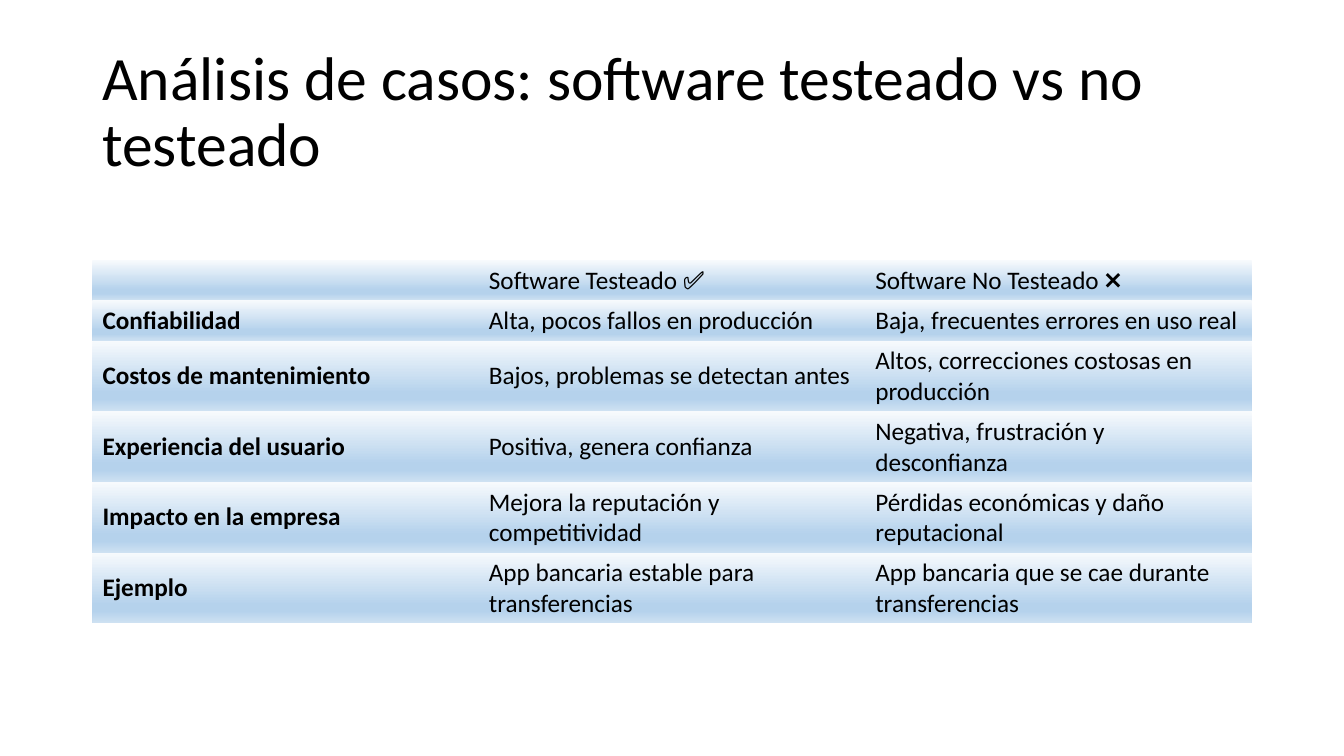
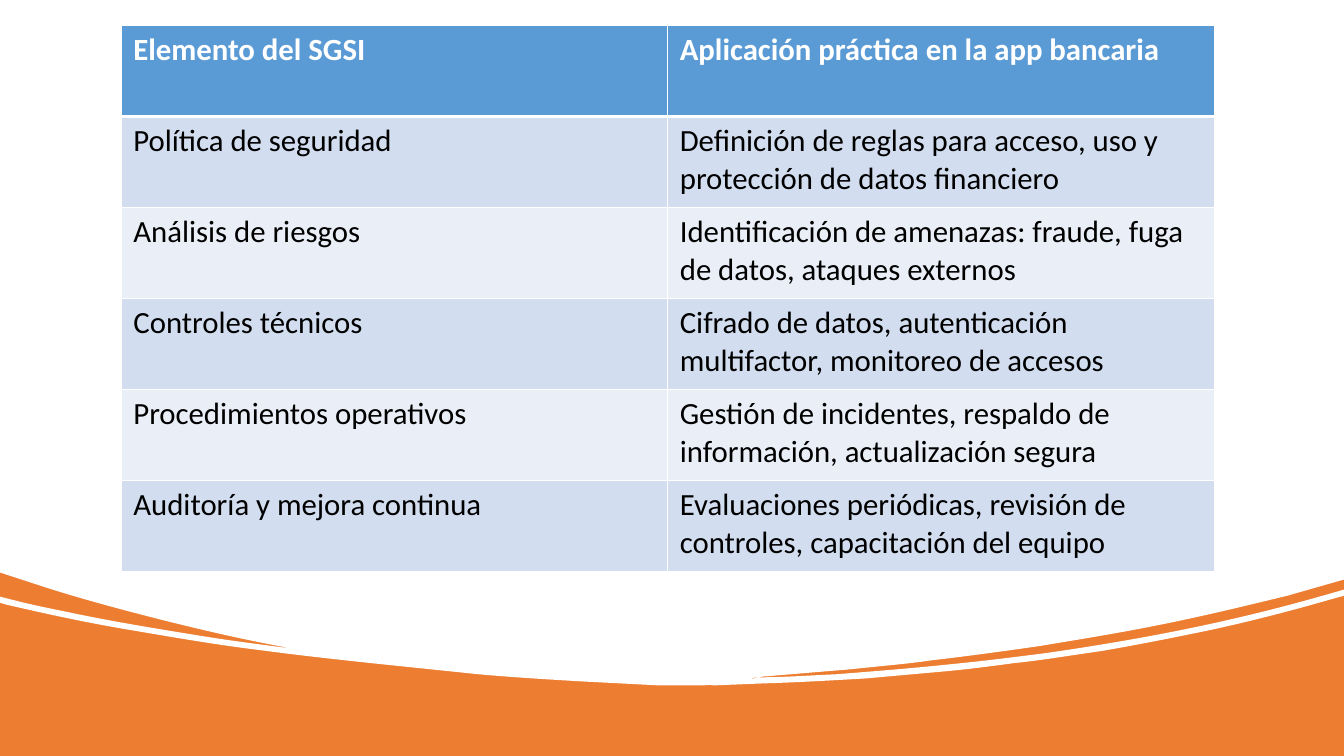
from dataclasses import dataclass
from typing import Optional

from lxml import etree
from pptx import Presentation
from pptx.dml.color import RGBColor
from pptx.enum.shapes import MSO_SHAPE
from pptx.enum.text import MSO_ANCHOR
from pptx.oxml.ns import qn
from pptx.util import Emu, Inches, Pt

RECT = MSO_SHAPE.RECTANGLE
TOP, MIDDLE = MSO_ANCHOR.TOP, MSO_ANCHOR.MIDDLE
NO_STYLE = "{2D5ABB26-0587-4C30-8999-92F81FD0307C}"
WIDTH, HEIGHT = Inches(13.33), Inches(7.5)


# Theme
@dataclass(frozen=True)
class Theme:
    font: str = "Calibri"
    text: str = "000000"
    white: str = "FFFFFF"
    orange: str = "ED7D31"
    header: str = "5B9BD5"
    bands: tuple = ("D2DEEF", "EAEFF7")
    gradient: tuple = ((0, "F7FAFD"), (74, "B5D2EC"), (83, "B5D2EC"), (100, "CEE1F2"))
    title_size: int = 44
    compare_size: int = 18
    element_size: int = 22


THEME = Theme()


# Boxes and row heights are percentages of the slide
@dataclass(frozen=True)
class Box:
    left: float
    top: float
    width: float
    height: float

    def emu(self) -> tuple:
        return (pct_x(self.left), pct_y(self.top), pct_x(self.width), pct_y(self.height))


@dataclass(frozen=True)
class CellStyle:
    size: int
    bold: bool = False
    color: str = THEME.text
    fill: Optional[str] = None  # None means the theme gradient
    anchor: MSO_ANCHOR = TOP
    inset: tuple = (0.1, 0.05)
    borders: tuple = ()  # (side, points)


def pct_x(share: float) -> Emu:
    return Emu(round(WIDTH * share / 100))


def pct_y(share: float) -> Emu:
    return Emu(round(HEIGHT * share / 100))


def rgb(color: str) -> RGBColor:
    return RGBColor.from_string(color)


# Text
def add_run(p, text: str, size: int, color: str, bold: bool = False) -> None:
    r = p.add_run()
    r.text = text
    r.font.name, r.font.size, r.font.bold = THEME.font, Pt(size), bold
    r.font.color.rgb = rgb(color)


def add_title(s, text: str, box: Box) -> None:
    tf = s.shapes.add_textbox(*box.emu()).text_frame
    tf.word_wrap = True
    tf.vertical_anchor = MIDDLE
    p = tf.paragraphs[0]
    p.line_spacing = 0.9
    add_run(p, text, THEME.title_size, THEME.text)


# Tables
def add_color(parent, color: str) -> None:
    etree.SubElement(parent, qn("a:srgbClr"), val=color)


def add_border(tc_pr, side: str, points: float) -> None:
    ln = etree.SubElement(tc_pr, qn(f"a:ln{side}"), w=str(Pt(points)))
    add_color(etree.SubElement(ln, qn("a:solidFill")), THEME.white)


def add_gradient(tc_pr) -> None:
    grad = etree.SubElement(tc_pr, qn("a:gradFill"), rotWithShape="1")
    stops = etree.SubElement(grad, qn("a:gsLst"))
    for position, color in THEME.gradient:
        add_color(etree.SubElement(stops, qn("a:gs"), pos=str(position * 1000)), color)
    etree.SubElement(grad, qn("a:lin"), ang="5400000", scaled="0")


def format_cell(cell, text: str, style: CellStyle) -> None:
    cell.margin_left = cell.margin_right = Inches(style.inset[0])
    cell.margin_top = cell.margin_bottom = Inches(style.inset[1])
    cell.vertical_anchor = style.anchor
    tc_pr = cell._tc.get_or_add_tcPr()
    for side, points in style.borders:
        add_border(tc_pr, side, points)
    if style.fill:
        cell.fill.solid()
        cell.fill.fore_color.rgb = rgb(style.fill)
    else:
        add_gradient(tc_pr)
    p = cell.text_frame.paragraphs[0]
    if text:
        add_run(p, text, style.size, style.color, style.bold)
    else:
        p.font.size = Pt(style.size)


def add_grid(s, rows: list, left: float, top: float, width: float, heights: list, style_of) -> None:
    box = Box(left, top, width, sum(heights))
    table = s.shapes.add_table(len(rows), len(rows[0]), *box.emu()).table
    table.first_row = table.horz_banding = False
    table._tbl.tblPr.find(qn("a:tableStyleId")).text = NO_STYLE
    for column in table.columns:
        column.width = pct_x(width / len(rows[0]))
    for i, (row, height) in enumerate(zip(rows, heights)):
        table.rows[i].height = pct_y(height)
        for j, text in enumerate(row):
            format_cell(table.cell(i, j), text, style_of(i, j))


# Wave outline in inches from the top left corner: pairs are lines, sextets are Bézier curves
WAVE = [
    (13.33, 0), (13.33, 5.58), (13.33, 5.75), (13.19, 5.79),
    # Right streak, out and back
    (13.05, 5.83, 12.91, 5.87, 12.77, 5.91), (12.32, 6.02, 11.86, 6.13, 11.4, 6.22),
    (11.04, 6.29, 10.67, 6.35, 10.31, 6.41), (9.96, 6.46, 9.6, 6.51, 9.25, 6.55),
    (8.98, 6.59, 8.71, 6.61, 8.44, 6.64), (7.6, 6.71), (7.59, 6.71), (7.43, 6.73), (7.44, 6.73),
    (7.45, 6.73, 7.46, 6.73, 7.48, 6.73), (7.49, 6.73, 7.51, 6.72, 7.53, 6.72),
    (7.78, 6.72, 8.04, 6.7, 8.29, 6.69), (8.67, 6.66, 9.05, 6.63, 9.43, 6.59),
    (9.74, 6.56, 10.06, 6.52, 10.37, 6.48), (10.79, 6.42, 11.21, 6.35, 11.62, 6.27),
    (12.13, 6.17, 12.63, 6.05, 13.12, 5.91), (13.33, 5.85), (13.33, 5.91), (12.94, 6.02),
    # Lower edge, right to left
    (12.61, 6.11, 12.29, 6.19, 11.96, 6.26), (11.62, 6.33, 11.27, 6.4, 10.92, 6.46),
    (10.63, 6.5, 10.34, 6.55, 10.05, 6.58), (9.83, 6.61, 9.6, 6.64, 9.38, 6.66),
    (8.6, 6.73), (8.26, 6.75, 7.92, 6.77, 7.58, 6.78), (7.08, 6.8),
    (7.04, 6.79, 7, 6.8, 6.96, 6.8), (6.62, 6.8), (6.54, 6.8),
    (5.76, 6.76), (5.42, 6.74, 5.09, 6.72, 4.75, 6.69), (3.69, 6.58),
    (3.32, 6.54, 2.95, 6.5, 2.58, 6.45), (2.17, 6.4, 1.76, 6.33, 1.35, 6.26),
    (0.92, 6.19, 0.5, 6.1, 0.07, 6), (0, 5.98),
    # Left streak, out and back
    (0, 5.92), (0.08, 5.94), (0.27, 5.99, 0.46, 6.03, 0.66, 6.07),
    (1.08, 6.16, 1.51, 6.23, 1.94, 6.3), (2.24, 6.35, 2.55, 6.39, 2.86, 6.43),
    (2.85, 6.43, 2.84, 6.42, 2.82, 6.42), (2.28, 6.32, 1.75, 6.19, 1.22, 6.05),
    (0.96, 5.98, 0.71, 5.91, 0.46, 5.83), (0, 5.68), (0, 5.58),
]


def bend_lines(sp, segments: list) -> None:
    """Turn the line of each sextet into a cubic curve."""
    lines = list(sp._element.iter(qn("a:lnTo")))
    for line, segment in zip(lines, segments):
        if len(segment) == 6:
            line_end = line[0]
            curve = etree.Element(qn("a:cubicBezTo"))
            for x, y in (segment[:2], segment[2:4]):
                etree.SubElement(curve, qn("a:pt"), x=str(Inches(x)), y=str(Inches(y)))
            curve.append(line_end)
            line.getparent().replace(line, curve)


def paint(sp, color: str) -> None:
    sp.shadow.inherit = False
    sp.fill.solid()
    sp.fill.fore_color.rgb = rgb(color)
    sp.line.fill.background()


def add_wave(s) -> None:
    paint(s.shapes.add_shape(RECT, 0, 0, WIDTH, HEIGHT), THEME.orange)
    builder = s.shapes.build_freeform(0, 0, scale=1.0)
    ends = [(Inches(segment[-2]), Inches(segment[-1])) for segment in WAVE]
    builder.add_line_segments(ends, close=True)
    sp = builder.convert_to_shape()
    bend_lines(sp, WAVE)
    paint(sp, THEME.white)


# Content
COMPARISON = [
    ("", "Software Testeado ✅", "Software No Testeado ❌"),
    ("Confiabilidad", "Alta, pocos fallos en producción", "Baja, frecuentes errores en uso real"),
    ("Costos de mantenimiento", "Bajos, problemas se detectan antes",
     "Altos, correcciones costosas en producción"),
    ("Experiencia del usuario", "Positiva, genera confianza", "Negativa, frustración y desconfianza"),
    ("Impacto en la empresa", "Mejora la reputación y competitividad",
     "Pérdidas económicas y daño reputacional"),
    ("Ejemplo", "App bancaria estable para transferencias",
     "App bancaria que se cae durante transferencias"),
]
ELEMENTS = [
    ("Elemento del SGSI", "Aplicación práctica en la app bancaria"),
    ("Política de seguridad", "Definición de reglas para acceso, uso y protección de datos financiero"),
    ("Análisis de riesgos", "Identificación de amenazas: fraude, fuga de datos, ataques externos"),
    ("Controles técnicos", "Cifrado de datos, autenticación multifactor, monitoreo de accesos"),
    ("Procedimientos operativos", "Gestión de incidentes, respaldo de información, actualización segura"),
    ("Auditoría y mejora continua",
     "Evaluaciones periódicas, revisión de controles, capacitación del equipo"),
]


def comparison_style(row: int, col: int) -> CellStyle:
    return CellStyle(THEME.compare_size, bold=col == 0, anchor=MIDDLE)


def element_style(row: int, col: int) -> CellStyle:
    head = row == 0
    top = () if row == 1 else (("T", 1),)  # the header rule closes the first body row
    return CellStyle(
        THEME.element_size,
        bold=head,
        color=THEME.white if head else THEME.text,
        fill=THEME.header if head else THEME.bands[(row - 1) % 2],
        inset=(0.12, 0.06),
        borders=(("L", 1), ("R", 1), *top, ("B", 3 if head else 1)),
    )


# Slides
def comparison_slide(prs) -> None:
    s = prs.slides.add_slide(prs.slide_layouts[6])
    add_title(s, "Análisis de casos: software testeado vs no testeado", Box(6.88, 5.33, 86.25, 19.33))
    add_grid(s, COMPARISON, 6.88, 34.4, 86.25, [5.33] * 2 + [9.33] * 4, comparison_style)


def elements_slide(prs) -> None:
    s = prs.slides.add_slide(prs.slide_layouts[6])
    add_wave(s)
    add_grid(s, ELEMENTS, 9.03, 3.37, 81.32, [12.04] * 6, element_style)


def main() -> None:
    prs = Presentation()
    prs.slide_width, prs.slide_height = WIDTH, HEIGHT
    comparison_slide(prs)
    elements_slide(prs)
    prs.save("out.pptx")


if __name__ == "__main__":
    main()
